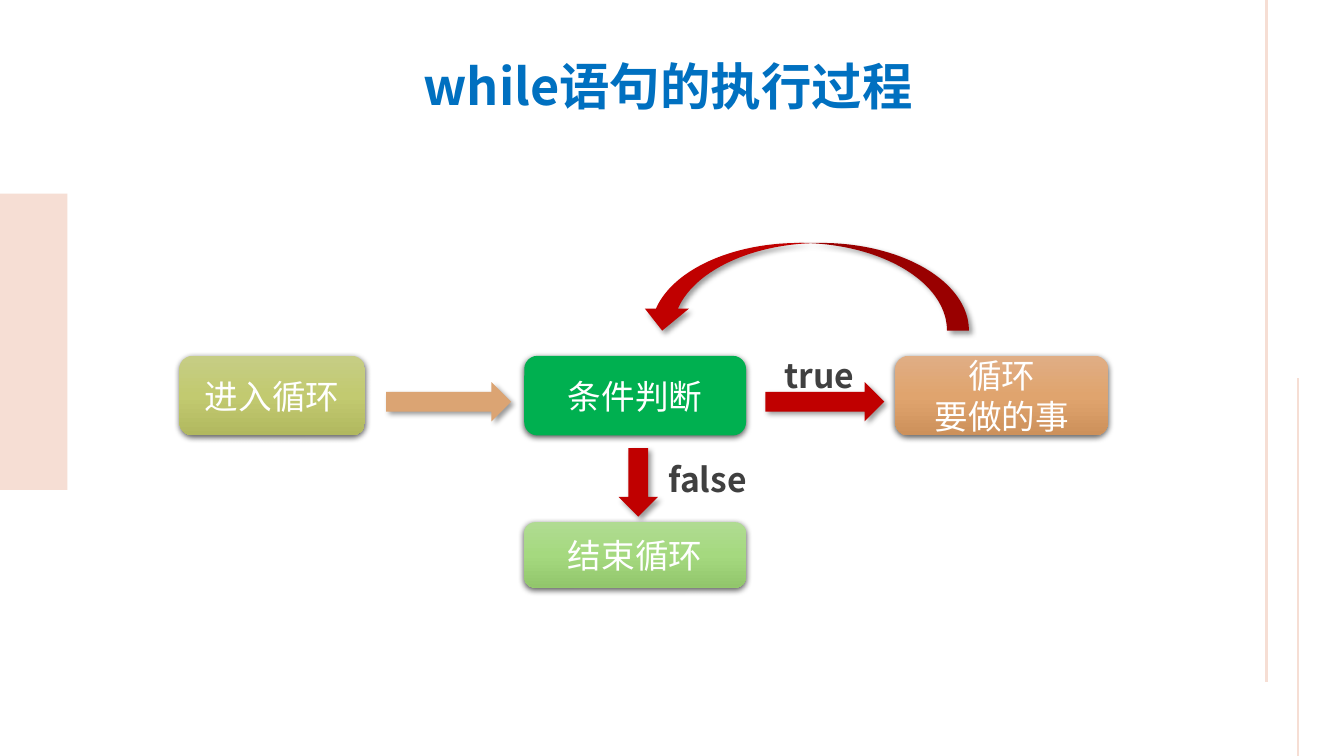
from copy import deepcopy

from lxml import etree
from pptx import Presentation
from pptx.dml.color import RGBColor
from pptx.enum.shapes import MSO_CONNECTOR, MSO_SHAPE
from pptx.enum.text import MSO_ANCHOR, PP_ALIGN
from pptx.oxml.ns import qn
from pptx.util import Emu, Pt

RECTANGLE = MSO_SHAPE.RECTANGLE
ROUNDED = MSO_SHAPE.ROUNDED_RECTANGLE
RIGHT_ARROW = MSO_SHAPE.RIGHT_ARROW
CURVED_ARROW = MSO_SHAPE.CURVED_UP_ARROW
STRAIGHT = MSO_CONNECTOR.STRAIGHT
MIDDLE = MSO_ANCHOR.MIDDLE
LEFT, CENTER = PP_ALIGN.LEFT, PP_ALIGN.CENTER

WHITE = RGBColor(0xFF, 0xFF, 0xFF)
PINK = RGBColor(0xF6, 0xDE, 0xD4)
BLUE = RGBColor(0x00, 0x70, 0xC0)
GRAY = RGBColor(0x40, 0x40, 0x40)
RED = RGBColor(0xC0, 0x00, 0x00)
TAN = RGBColor(0xDB, 0xA4, 0x73)
GREEN = RGBColor(0x00, 0xB0, 0x50)
ORANGE_FADE = (RGBColor(0xE0, 0xAE, 0x85), RGBColor(0xE0, 0xA4, 0x6E), RGBColor(0xCD, 0x91, 0x5B))
LIME_FADE = (RGBColor(0xB0, 0xDB, 0x92), RGBColor(0xA5, 0xD9, 0x7F), RGBColor(0x92, 0xC6, 0x6C))
OLIVE_FADE = (RGBColor(0xC6, 0xCD, 0x85), RGBColor(0xC2, 0xCA, 0x70), RGBColor(0xB1, 0xB8, 0x5F))

BOX_SHADOW = (63, 4.5, 1.5, 90)
ARROW_SHADOW = (40, 4, 3, 45)


class FlowSlide:
    """Draws the elements of a flow chart in one style on one slide."""

    font_name = "Noto Sans CJK SC"
    scale = 9144

    def __init__(self, presentation):
        presentation.slide_width = self.px(1333)
        presentation.slide_height = self.px(750)
        self.slide = presentation.slides.add_slide(presentation.slide_layouts[6])

    def px(self, length):
        return Emu(length * self.scale)

    def set_text(self, text_frame, text, size, color, bold=False, align=LEFT):
        text_frame.text = text
        for paragraph in text_frame.paragraphs:
            paragraph.alignment = align
            for run in paragraph.runs:
                run.font.size = Pt(size)
                run.font.bold = bold
                run.font.color.rgb = color
                run.font.name = self.font_name
                east_asian = etree.SubElement(run.font._element, qn("a:ea"))
                east_asian.set("typeface", self.font_name)

    def label(self, text, left, top, width, height, size, color):
        box = self.slide.shapes.add_textbox(*map(self.px, (left, top, width, height)))
        box.text_frame.word_wrap = False
        self.set_text(box.text_frame, text, size, color, bold=True)

    def shape(self, kind, left, top, width, height, color, rotation=0):
        shape = self.slide.shapes.add_shape(kind, *map(self.px, (left, top, width, height)))
        shape.rotation = rotation
        shape.shadow.inherit = False
        shape.line.fill.background()
        shape.fill.solid()
        shape.fill.fore_color.rgb = color
        return shape

    def cast_shadow(self, shape, opacity, blur, distance, angle):
        effects = shape._element.spPr.find(qn("a:effectLst"))
        shadow = etree.SubElement(
            effects, qn("a:outerShdw"), blurRad=str(Pt(blur)), dist=str(Pt(distance)),
            dir=str(angle * 60000), rotWithShape="0")
        color = etree.SubElement(shadow, qn("a:srgbClr"), val="000000")
        etree.SubElement(color, qn("a:alpha"), val=str(opacity * 1000))

    def fade(self, shape, colors):
        shape.fill.gradient()
        shape.fill.gradient_angle = 270
        stop_list = shape._element.spPr.find(".//" + qn("a:gsLst"))
        stop_list.insert(1, deepcopy(stop_list[0]))
        for index, (stop, color) in enumerate(zip(shape.fill.gradient_stops, colors)):
            stop.position = index / 2
            stop.color.rgb = color

    def step(self, text, left, top, width, height, color=WHITE, fade=None):
        shape = self.shape(ROUNDED, left, top, width, height, color)
        if fade:
            self.fade(shape, fade)
        self.cast_shadow(shape, *BOX_SHADOW)
        shape.text_frame.vertical_anchor = MIDDLE
        self.set_text(shape.text_frame, text, 24, WHITE, align=CENTER)

    def arrow(self, kind, left, top, width, height, color, rotation=0):
        shape = self.shape(kind, left, top, width, height, color, rotation)
        self.cast_shadow(shape, *ARROW_SHADOW)

    def vertical_line(self, x, top, bottom, width):
        line = self.slide.shapes.add_connector(STRAIGHT, *map(self.px, (x, top, x, bottom)))
        line.line.color.rgb = PINK
        line.line.width = Pt(width)
        etree.SubElement(line._element.spPr, qn("a:effectLst"))


def main():
    presentation = Presentation()
    flow = FlowSlide(presentation)

    flow.shape(RECTANGLE, 0, 192, 67, 294, PINK)
    flow.vertical_line(1256, 0, 677, 2.25)
    flow.vertical_line(1287, 375, 750, 1.5)
    flow.label("while语句的执行过程", 410, 50, 551, 71, 36, BLUE)

    flow.step("循环\n要做的事", 888, 353, 211, 79, fade=ORANGE_FADE)
    flow.arrow(RIGHT_ARROW, 759, 379, 118, 39, RED)
    flow.step("条件判断", 520, 353, 220, 79, color=GREEN)
    flow.label("true", 768, 347, 101, 50, 24, GRAY)
    flow.arrow(RIGHT_ARROW, 599, 459, 68, 39, RED, rotation=90)
    flow.step("结束循环", 520, 518, 220, 65, fade=LIME_FADE)
    flow.label("false", 653, 450, 102, 50, 24, GRAY)
    flow.arrow(RIGHT_ARROW, 383, 379, 124, 39, TAN)
    flow.step("进入循环", 178, 353, 184, 79, fade=OLIVE_FADE)
    flow.arrow(CURVED_ARROW, 635, 241, 326, 87, RED, rotation=180)

    presentation.save("out.pptx")


if __name__ == "__main__":
    main()
